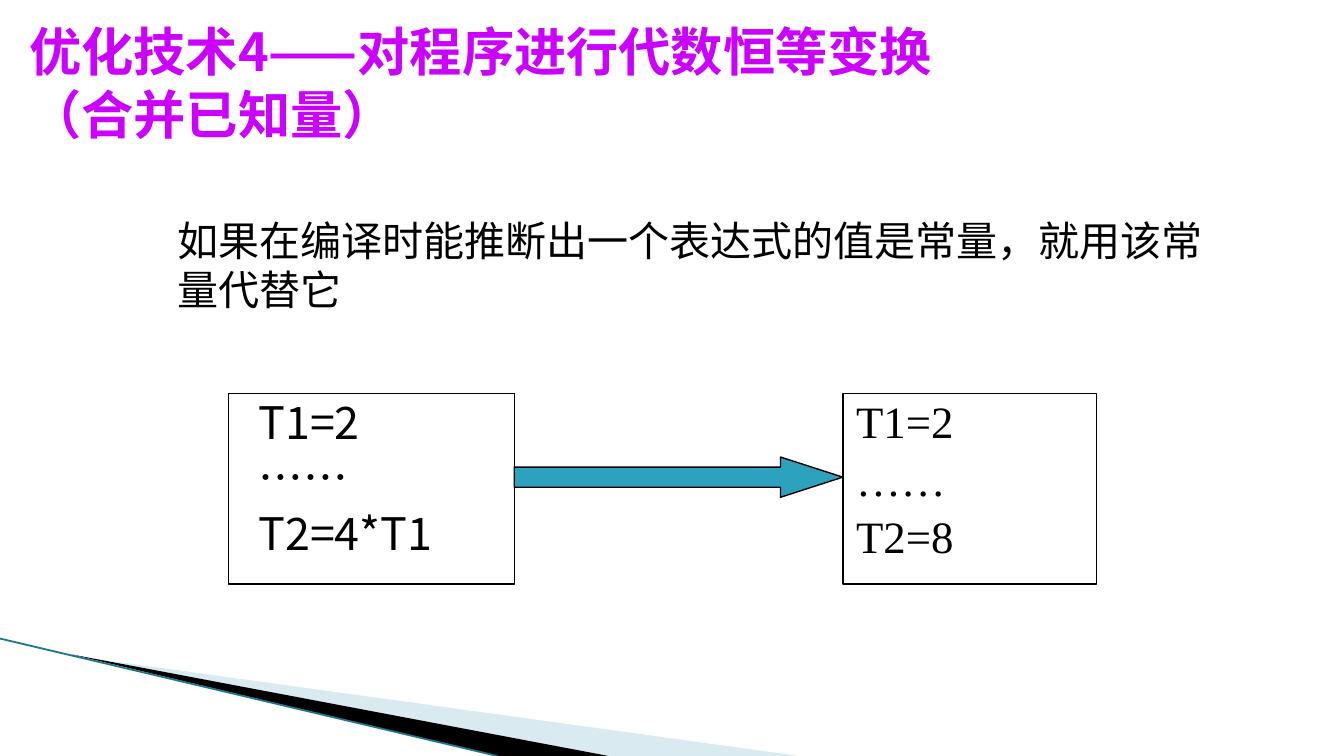
"""Build a slide on folding known values in compiled code."""
from lxml import etree
from pptx import Presentation
from pptx.dml.color import RGBColor
from pptx.enum.shapes import MSO_CONNECTOR, MSO_SHAPE
from pptx.enum.text import MSO_ANCHOR, MSO_AUTO_SIZE, PP_ALIGN
from pptx.oxml.ns import qn
from pptx.util import Cm, Pt

BLACK = RGBColor(0x00, 0x00, 0x00)
PURPLE = RGBColor(0xCC, 0x00, 0xFF)
TEAL = RGBColor(0x2D, 0xA2, 0xBF)
DEEP = RGBColor(0x1E, 0x76, 0x8C)
PALE = RGBColor(0xA0, 0xCB, 0xDC)
SANS = "Noto Sans CJK SC"
SERIF = "Times New Roman"
LEFT = PP_ALIGN.LEFT
TOP, MIDDLE = MSO_ANCHOR.TOP, MSO_ANCHOR.MIDDLE
FIXED = MSO_AUTO_SIZE.NONE
RECT, ARROW = MSO_SHAPE.RECTANGLE, MSO_SHAPE.RIGHT_ARROW
STRAIGHT = MSO_CONNECTOR.STRAIGHT


def place(shape, left, top, width, height):
    """Move and size a shape, in centimetres."""
    shape.left, shape.top = Cm(left), Cm(top)
    shape.width, shape.height = Cm(width), Cm(height)


def style(par, size, face, color, bold=False):
    """Format the runs of a paragraph."""
    par.alignment = LEFT
    for run in par.runs:
        font = run.font
        font.size, font.name, font.bold = Pt(size), face, bold
        font.color.rgb = color
        east = etree.Element(qn("a:ea"), typeface=SANS)
        font._element.find(qn("a:latin")).addnext(east)


def write(shape, text, size, face, color, bold=False, anchor=TOP):
    """Fill a shape with wrapped text and return its paragraphs."""
    frame = shape.text_frame
    frame.text = text
    frame.word_wrap, frame.auto_size = True, FIXED
    frame.vertical_anchor = anchor
    for par in frame.paragraphs:
        style(par, size, face, color, bold)
    return frame.paragraphs


def edge(shape):
    """Give a shape a thin black outline."""
    shape.line.color.rgb = BLACK
    shape.line.width = Pt(0.75)


def code(shape, lines, face, margin, hang, gap):
    """Show lines of code in an outlined box."""
    shape.fill.background()
    edge(shape)
    pars = write(shape, "\n".join(lines), 24, face, BLACK)
    for spot, par in enumerate(pars):
        props = par._p.get_or_add_pPr()
        props.set("marL", str(Cm(margin)))
        props.set("indent", str(-Cm(hang)))
        etree.SubElement(props, qn("a:buNone"))
        par.line_spacing = 0.9
        par.space_before = Pt(gap if spot else 0)


def wedge(slide, points, color, alpha=100):
    """Draw a filled corner wedge."""
    start, *rest = [(Cm(x), Cm(y)) for x, y in points]
    pen = slide.shapes.build_freeform(*start)
    pen.add_line_segments(rest)
    shape = pen.convert_to_shape()
    shape.shadow.inherit = False
    shape.fill.solid()
    shape.fill.fore_color.rgb = color
    shape.line.fill.background()
    if alpha < 100:
        tint = shape.element.spPr.find(".//" + qn("a:srgbClr"))
        etree.SubElement(tint, qn("a:alpha"), val=str(alpha * 1000))


def corner(slide):
    """Draw the wedges and the line in the lower left corner."""
    wedge(slide, [(1.4, 12.4), (15.1, 14.29), (11.5, 14.29)], PALE, 40)
    wedge(slide, [(1.35, 12.37), (11.5, 14.29), (9.4, 14.29)], BLACK)
    line = slide.shapes.add_connector(
        STRAIGHT, Cm(0), Cm(12.07), Cm(9.4), Cm(14.29))
    line.line.color.rgb = DEEP
    line.line.width = Pt(0.95)
    etree.SubElement(line.element.spPr, qn("a:effectLst"))


def block(slide, kind, left, top, width, height):
    """Add a preset shape without a shadow."""
    shape = slide.shapes.add_shape(
        kind, Cm(left), Cm(top), Cm(width), Cm(height))
    shape.shadow.inherit = False
    return shape


def main():
    """Build and save the slide."""
    deck = Presentation()
    deck.slide_width, deck.slide_height = Cm(25.4), Cm(14.29)
    slide = deck.slides.add_slide(deck.slide_layouts[1])
    corner(slide)

    title = slide.shapes.title
    place(title, 0.3, 0.36, 18.03, 2.39)
    write(title, "优化技术4——对程序进行代数恒等变换（合并已知量）",
          28, SANS, PURPLE, True, MIDDLE)

    before = slide.placeholders[1]
    place(before, 4.32, 7.44, 5.4, 3.6)
    code(before, ["T1=2", "……", "T2=4*T1"], SANS, 1.02, 0.71, 4)
    after = block(slide, RECT, 15.93, 7.44, 4.8, 3.6)
    code(after, ["T1=2", "……", "T2=8"], SERIF, 0.97, 0.97, 4.8)

    arrow = block(slide, ARROW, 9.72, 8.64, 6.21, 0.76)
    arrow.adjustments[0], arrow.adjustments[1] = 0.5, 1.55
    arrow.fill.solid()
    arrow.fill.fore_color.rgb = TEAL
    edge(arrow)

    note = slide.shapes.add_textbox(Cm(3.1), Cm(3.94), Cm(20.24), Cm(2.13))
    write(note, "如果在编译时能推断出一个表达式的值是常量，就用该常量代替它",
          22, SERIF, BLACK)
    deck.save("out.pptx")


if __name__ == "__main__":
    main()
